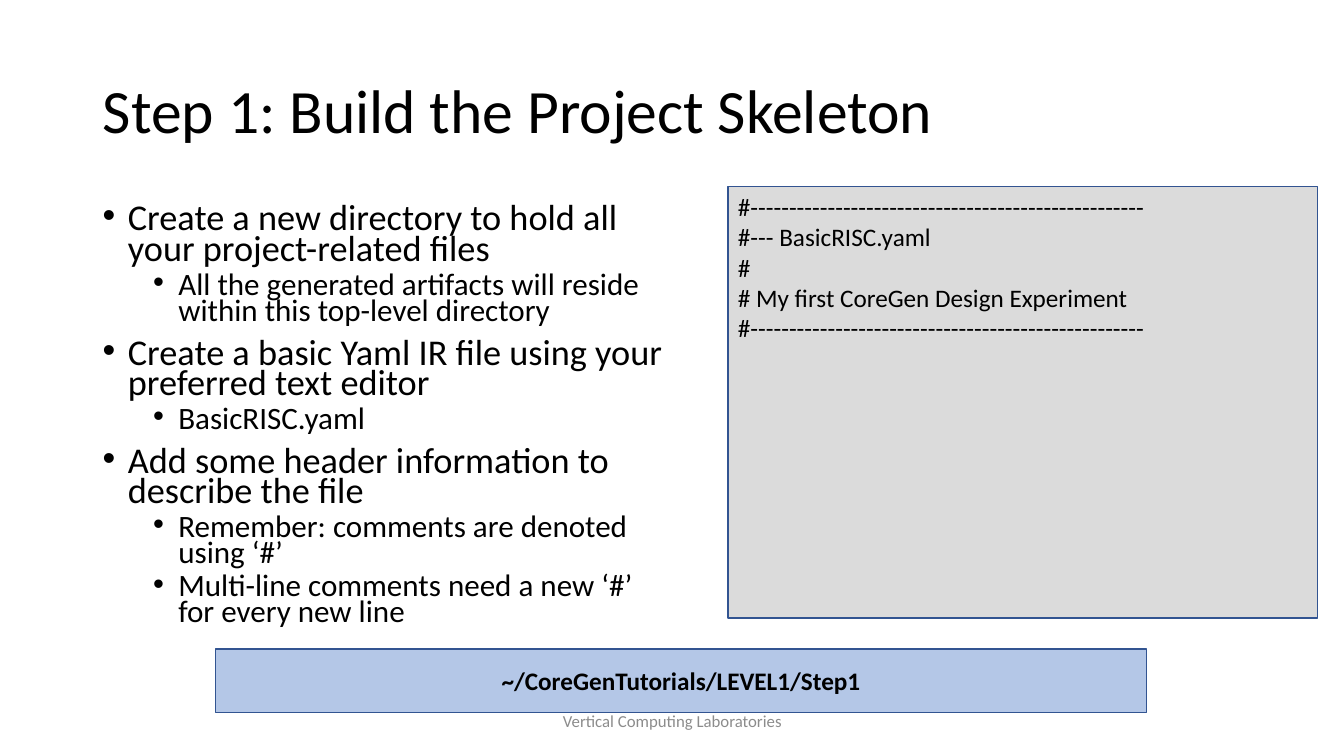
from lxml import etree
from pptx import Presentation
from pptx import util as u
from pptx.dml import color
from pptx.enum import shapes, text
from pptx.oxml import ns

PX = 9144
LEFT, CENTER = text.PP_ALIGN.LEFT, text.PP_ALIGN.CENTER
TOP, MIDDLE = text.MSO_ANCHOR.TOP, text.MSO_ANCHOR.MIDDLE
RULE = "#" + "-" * 51
HEADER = [RULE, "#--- BasicRISC.yaml", "#", "# My first CoreGen Design Experiment", RULE]
STEPS = [
    (0, "Create a new directory to hold all your project-related files"),
    (1, "All the generated artifacts will reside within this top-level directory"),
    (0, "Create a basic Yaml IR file using your preferred text editor"),
    (1, "BasicRISC.yaml"),
    (0, "Add some header information to describe the file"),
    (1, "Remember: comments are denoted using ‘#’"),
    (1, "Multi-line comments need a new ‘#’ for every new line"),
]
LEVELS = [
    {"size": 25.9, "before": 10, "margin": 25},
    {"size": 22.2, "before": 5, "margin": 75},
]


def px(*lengths):
    return [u.Emu(n * PX) for n in lengths]


def rgb(value):
    return color.RGBColor.from_string(value)


def set_all(target, values):
    for name, value in values.items():
        setattr(target, name, value)


def setup_frame(tf, anchor):
    set_all(tf, {"word_wrap": True, "auto_size": text.MSO_AUTO_SIZE.NONE,
                 "vertical_anchor": anchor})


def write(p, words, size, ink="000000", bold=False, **paragraph):
    set_all(p, paragraph)
    r = p.add_run()
    r.text = words
    set_all(r.font, {"name": "Calibri", "size": u.Pt(size), "bold": bold})
    r.font.color.rgb = rgb(ink)


def paragraphs(tf, lines):
    for i, line in enumerate(lines):
        yield (tf.add_paragraph() if i else tf.paragraphs[0]), line


def add_title(s, box, words):
    sp = s.shapes.title
    set_all(sp, dict(zip(("left", "top", "width", "height"), px(*box))))
    setup_frame(sp.text_frame, MIDDLE)
    write(sp.text_frame.paragraphs[0], words, 44, alignment=LEFT, line_spacing=0.9)


def add_bullet(p, margin):
    pPr = p._p.get_or_add_pPr()
    indent, = px(25)
    pPr.set("marL", str(margin * PX))
    pPr.set("indent", str(-indent))
    etree.SubElement(pPr, ns.qn("a:buFont"), typeface="Arial")
    etree.SubElement(pPr, ns.qn("a:buChar"), char="•")


def add_bullets(s, box, items):
    tf = s.shapes.add_textbox(*px(*box)).text_frame
    setup_frame(tf, TOP)
    for i, (p, (level, words)) in enumerate(paragraphs(tf, items)):
        style = LEVELS[level]
        add_bullet(p, style["margin"])
        write(p, words, style["size"], level=level, line_spacing=0.7,
              space_before=u.Pt(style["before"] if i else 0))


def add_panel(s, box, fill, lines, anchor, alignment, bold=False):
    sp = s.shapes.add_shape(shapes.MSO_SHAPE.RECTANGLE, *px(*box))
    sp.shadow.inherit = False
    sp.fill.solid()
    sp.fill.fore_color.rgb = rgb(fill)
    sp.line.color.rgb = rgb("325491")
    sp.line.width = u.Pt(1)
    setup_frame(sp.text_frame, anchor)
    for p, words in paragraphs(sp.text_frame, lines):
        write(p, words, 18, bold=bold, alignment=alignment)


def add_footer(s, box, words):
    tf = s.shapes.add_textbox(*px(*box)).text_frame
    setup_frame(tf, MIDDLE)
    write(tf.paragraphs[0], words, 12, "8C8C8C", alignment=CENTER)


def main():
    prs = Presentation()
    prs.slide_width, prs.slide_height = px(1333, 750)
    s = prs.slides.add_slide(prs.slide_layouts.get_by_name("Title Only"))
    add_title(s, (92, 40, 1150, 145), "Step 1: Build the Project Skeleton")
    add_bullets(s, (92, 200, 575, 432), STEPS)
    add_footer(s, (442, 695, 450, 40), "Vertical Computing Laboratories")
    add_panel(s, (214, 644, 923, 63), "B4C7E7", ["~/CoreGenTutorials/LEVEL1/Step1"],
              MIDDLE, CENTER, bold=True)
    add_panel(s, (722, 185, 585, 428), "DBDBDB", HEADER, TOP, LEFT)
    prs.save("out.pptx")


if __name__ == "__main__":
    main()
